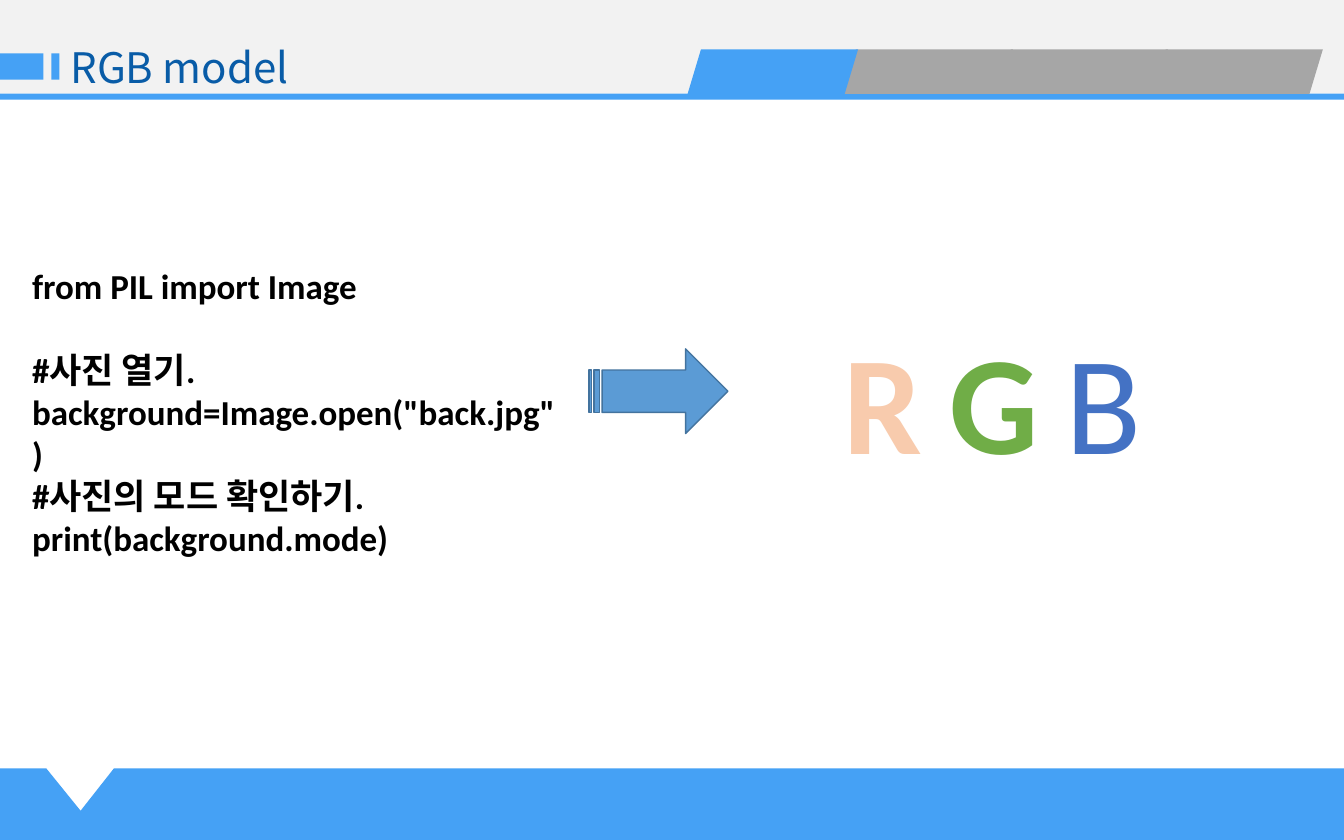
from lxml import etree
from pptx import Presentation
from pptx.dml.color import RGBColor
from pptx.enum.shapes import MSO_SHAPE
from pptx.enum.text import PP_ALIGN
from pptx.oxml.ns import qn
from pptx.util import Inches, Pt

RECTANGLE = MSO_SHAPE.RECTANGLE
PARALLELOGRAM = MSO_SHAPE.PARALLELOGRAM
STRIPED_ARROW = MSO_SHAPE.STRIPED_RIGHT_ARROW
LEFT, CENTER = PP_ALIGN.LEFT, PP_ALIGN.CENTER

SKY = RGBColor(0x45, 0xA1, 0xF5)
NAVY = RGBColor(0x09, 0x5C, 0xA7)
PALE = RGBColor(0xF2, 0xF2, 0xF2)
GRAY = RGBColor(0xA6, 0xA6, 0xA6)
BLACK = RGBColor(0, 0, 0)
STEEL = RGBColor(0x5B, 0x9B, 0xD5)
STEEL_EDGE = RGBColor(0x43, 0x73, 0x9E)
PEACH = RGBColor(0xF8, 0xCB, 0xAD)
GREEN = RGBColor(0x70, 0xAD, 0x47)
BLUE = RGBColor(0x44, 0x72, 0xC4)

LATIN, KOREAN = "Calibri", "Noto Sans CJK KR"
WIDTH, HEIGHT = 13.33, 8.33


def paint(shape, fill, edge=None):
    shape.shadow.inherit = False
    shape.fill.solid()
    shape.fill.fore_color.rgb = fill
    if edge is None:
        shape.line.fill.background()
    else:
        shape.line.color.rgb = edge
        shape.line.width = Pt(1)
    return shape


def add_block(page, kind, box, fill, edge=None):
    shape = page.shapes.add_shape(kind, *map(Inches, box))
    return paint(shape, fill, edge)


def add_text(page, box, lines, size, color, font=LATIN, bold=False,
             align=LEFT, wrap=True):
    frame = page.shapes.add_textbox(*map(Inches, box)).text_frame
    frame.word_wrap = wrap
    frame.text = "\n".join(lines)
    for para in frame.paragraphs:
        para.alignment = align
        para.font.size = Pt(size)
        para.font.bold = bold
        para.font.color.rgb = color
        para.font.name = font
        defaults = para._p.pPr.find(qn("a:defRPr"))
        etree.SubElement(defaults, qn("a:ea"), typeface=KOREAN)
    return frame


def add_footer(page, box):
    left, top, width, height = box
    right, bottom = left + width, top + height
    notch = [(left + 0.46, top), (left + 0.8, top + 0.42), (left + 1.13, top)]
    corners = notch + [(right, top), (right, bottom), (left, bottom)]
    builder = page.shapes.build_freeform(Inches(left), Inches(top))
    builder.add_line_segments([(Inches(x), Inches(y)) for x, y in corners])
    paint(builder.convert_to_shape(), SKY)


def add_tabs(page, box, colors):
    left, top, width, height = box
    tab_width = 1.69
    step = (width - tab_width) / (len(colors) - 1)
    for index, color in reversed(list(enumerate(colors))):
        tab_box = (left + index * step, top, tab_width, height)
        tab = add_block(page, PARALLELOGRAM, tab_box, color)
        tab.adjustments[0] = 0.3


def add_header(page, box, title):
    left, top, width, height = box
    add_block(page, RECTANGLE, box, PALE)
    for offset, mark_width in ((0, 0.43), (0.51, 0.08)):
        mark_box = (left + offset, top + 0.53, mark_width, 0.26)
        add_block(page, RECTANGLE, mark_box, SKY)
    add_block(page, RECTANGLE, (left, top + height, width, 0.06), SKY)
    add_text(page, (left + 0.6, top + 0.36, 6.06, 0.61), [title], 30, NAVY, KOREAN)
    add_tabs(page, (left + 6.82, top + 0.49, 6.3, 0.44), [SKY] + [GRAY] * 3)


def add_code(page, box):
    lines = [
        "from PIL import Image",
        "#사진 열기.",
        'background=Image.open("back.jpg")',
        "#사진의 모드 확인하기.",
        "print(background.mode)",
    ]
    frame = add_text(page, box, lines, 25, BLACK, bold=True)
    frame.paragraphs[1].space_before = Pt(30.5)


def add_letters(page, box):
    left, top, width, height = box
    letters = [("R", 0.99, PEACH, True), ("G", 1.1, GREEN, True),
               ("B", 0.96, BLUE, False)]
    gap = (width - sum(item[1] for item in letters)) / (len(letters) - 1)
    for letter, letter_width, color, bold in letters:
        add_text(page, (left, top, letter_width, height), [letter], 100, color,
                 bold=bold, align=CENTER, wrap=False)
        left += letter_width + gap


def main():
    deck = Presentation()
    deck.slide_width, deck.slide_height = Inches(WIDTH), Inches(HEIGHT)
    page = deck.slides.add_slide(deck.slide_layouts[6])
    add_footer(page, (0, 7.62, WIDTH, HEIGHT - 7.62))
    add_header(page, (0, 0, WIDTH, 0.93), "RGB model")
    add_code(page, (0.22, 2.57, 5.42, 2.63))
    add_block(page, STRIPED_ARROW, (5.84, 3.46, 1.38, 0.84), STEEL, STEEL_EDGE)
    add_letters(page, (8.26, 3.07, 3.17, 1.78))
    deck.save("out.pptx")


if __name__ == "__main__":
    main()
